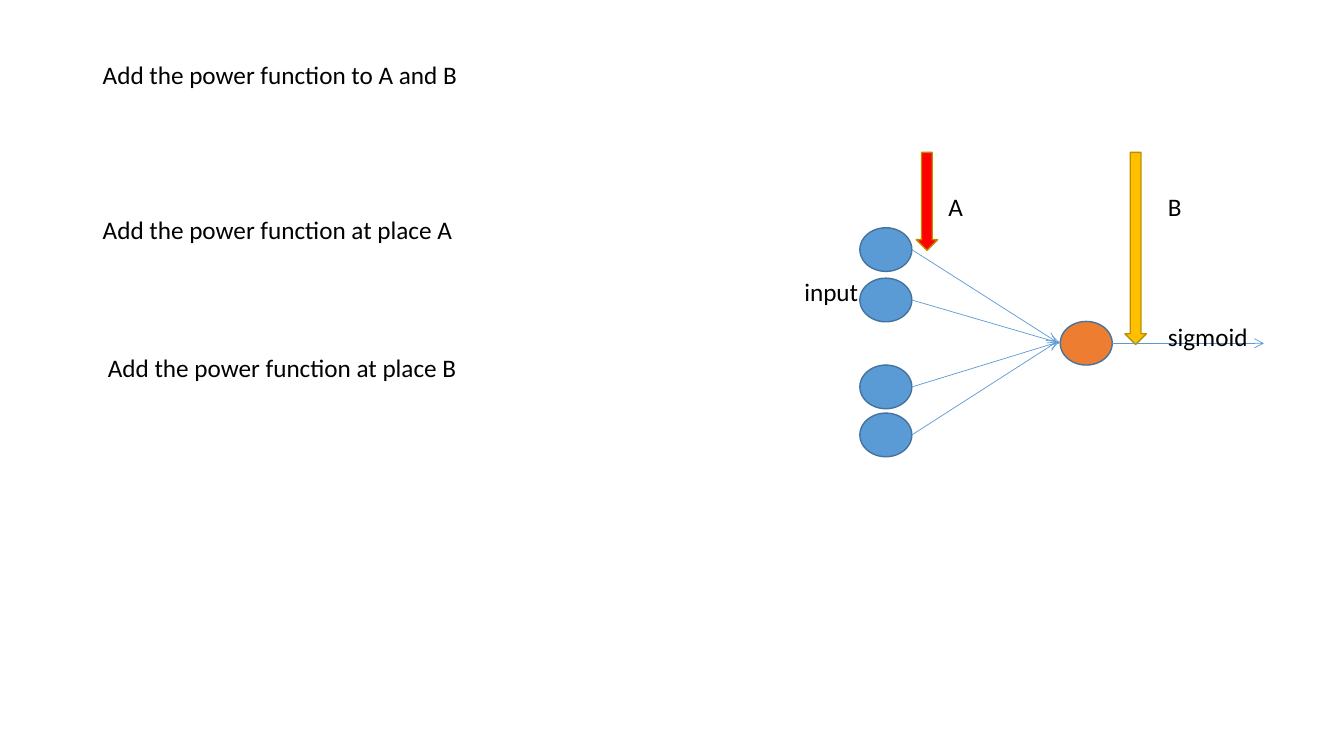
from dataclasses import dataclass

from lxml.etree import SubElement
from pptx import Presentation
from pptx.dml.color import RGBColor
from pptx.enum.shapes import MSO_CONNECTOR, MSO_SHAPE
from pptx.enum.text import MSO_ANCHOR
from pptx.oxml.ns import qn
from pptx.slide import Slide
from pptx.util import Cm, Pt

COLORS = {
    "text": "000000",
    "input": "5B9BD5",
    "output": "ED7D31",
    "neuron_line": "43739E",
    "place_a": "FF0000",
    "place_b": "FFC000",
    "marker_line": "BD8E00",
}
NEURON_WIDTH, NEURON_HEIGHT = 1.31, 1.1
MARKER_WIDTH, MARKER_TOP = 0.54, 3.84
LABEL_HEIGHT = 1.02


@dataclass(frozen=True)
class Neuron:
    left: float
    top: float
    color: str

    @property
    def right(self) -> float:
        return self.left + NEURON_WIDTH

    @property
    def middle(self) -> float:
        return self.top + NEURON_HEIGHT / 2


@dataclass(frozen=True)
class Marker:
    left: float
    height: float
    color: str


@dataclass(frozen=True)
class Label:
    text: str
    left: float
    top: float
    width: float


INPUTS = [Neuron(21.67, top, "input") for top in (5.74, 7.01, 9.2, 10.41)]
OUTPUT = Neuron(26.72, 8.1, "output")
ARROW_TIPS = [(26.62, 8.61), (26.72, 8.65), (26.7, 8.61), (26.64, 8.61)]
MARKERS = [Marker(23.09, 2.47, "place_a"), Marker(28.35, 4.84, "place_b")]
LABELS = [
    Label("input", 20.02, 6.83, 2.06),
    Label("sigmoid", 29.18, 7.97, 3.35),
    Label("A", 23.65, 4.69, 0.99),
    Label("B", 29.18, 4.69, 0.99),
    Label("Add the power function at place A", 2.34, 5.28, 10.8),
    Label("Add the power function at place B", 2.47, 8.76, 10.8),
]


def color(name: str) -> RGBColor:
    return RGBColor.from_string(COLORS[name])


def add_text(page: Slide, text: str, *, left: float, top: float, width: float,
             height: float = LABEL_HEIGHT, anchor: MSO_ANCHOR = MSO_ANCHOR.TOP,
             line_spacing: float = 1.0) -> None:
    box = page.shapes.add_textbox(Cm(left), Cm(top), Cm(width), Cm(height))
    frame = box.text_frame
    frame.word_wrap = True
    frame.vertical_anchor = anchor
    para = frame.paragraphs[0]
    para.line_spacing = line_spacing
    span = para.add_run()
    span.text = text
    span.font.name = "Calibri"
    span.font.size = Pt(18)
    span.font.color.rgb = color("text")


def add_figure(page: Slide, kind: MSO_SHAPE, *, left: float, top: float,
               width: float, height: float, fill: str, line: str) -> None:
    shape = page.shapes.add_shape(kind, Cm(left), Cm(top), Cm(width), Cm(height))
    shape.shadow.inherit = False
    shape.fill.solid()
    shape.fill.fore_color.rgb = color(fill)
    shape.line.color.rgb = color(line)
    shape.line.width = Pt(1)


def add_neuron(page: Slide, neuron: Neuron) -> None:
    add_figure(page, MSO_SHAPE.OVAL, left=neuron.left, top=neuron.top,
               width=NEURON_WIDTH, height=NEURON_HEIGHT,
               fill=neuron.color, line="neuron_line")


def add_arrow(page: Slide, start: tuple[float, float], end: tuple[float, float]) -> None:
    arrow = page.shapes.add_connector(
        MSO_CONNECTOR.STRAIGHT, *(Cm(value) for value in (*start, *end)))
    arrow.line.color.rgb = color("input")
    arrow.line.width = Pt(0.5)
    SubElement(arrow.line._get_or_add_ln(), qn("a:tailEnd"), type="arrow")
    SubElement(arrow._element.spPr, qn("a:effectLst"))


def main() -> None:
    deck = Presentation()
    deck.slide_width, deck.slide_height = Cm(33.87), Cm(19.05)
    page = deck.slides.add_slide(deck.slide_layouts[6])

    add_text(page, "Add the power function to A and B", left=2.34, top=1.02,
             width=11.07, height=1.83, anchor=MSO_ANCHOR.MIDDLE, line_spacing=0.9)
    for marker in MARKERS:
        add_figure(page, MSO_SHAPE.DOWN_ARROW, left=marker.left, top=MARKER_TOP,
                   width=MARKER_WIDTH, height=marker.height,
                   fill=marker.color, line="marker_line")
    for neuron in [*INPUTS, OUTPUT]:
        add_neuron(page, neuron)
    for neuron, tip in zip(INPUTS, ARROW_TIPS):
        add_arrow(page, (neuron.right, neuron.middle), tip)
    add_arrow(page, (OUTPUT.right, OUTPUT.middle), (31.85, OUTPUT.middle))
    for label in LABELS:
        add_text(page, label.text, left=label.left, top=label.top, width=label.width)

    deck.save("out.pptx")


if __name__ == "__main__":
    main()
